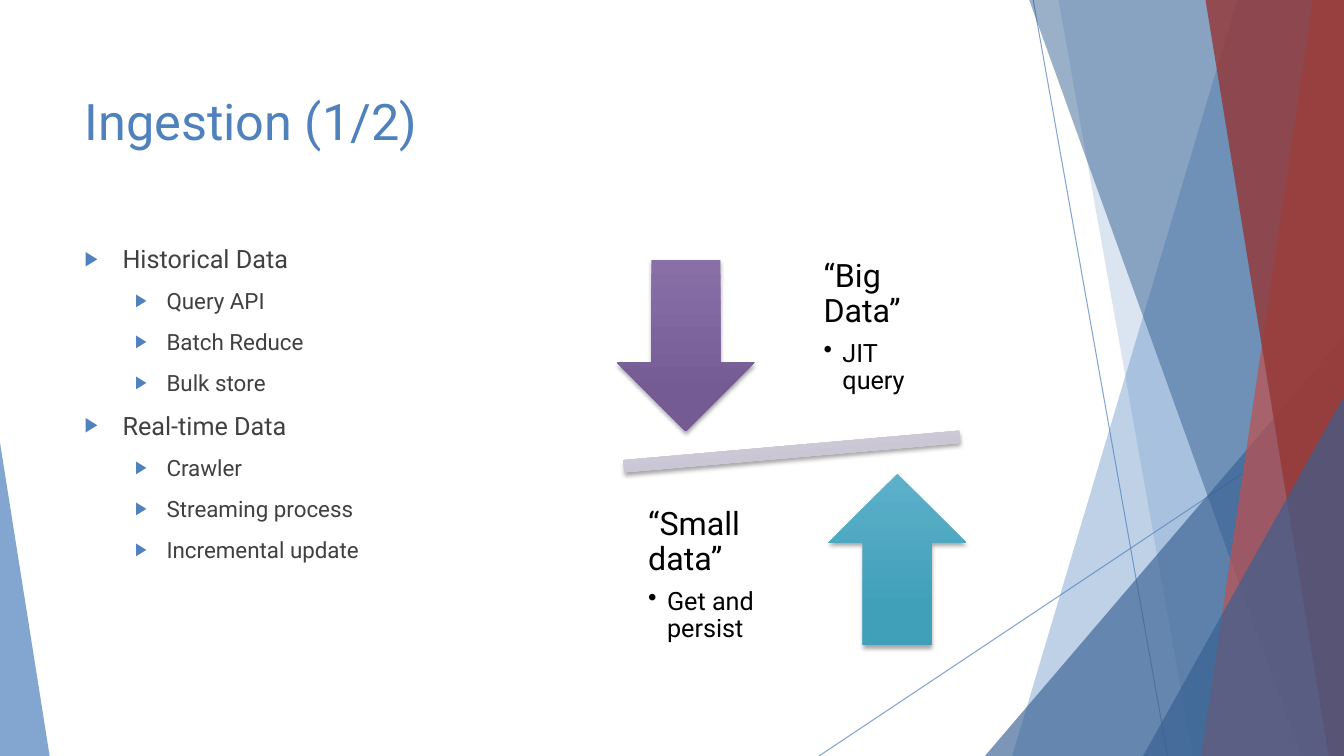
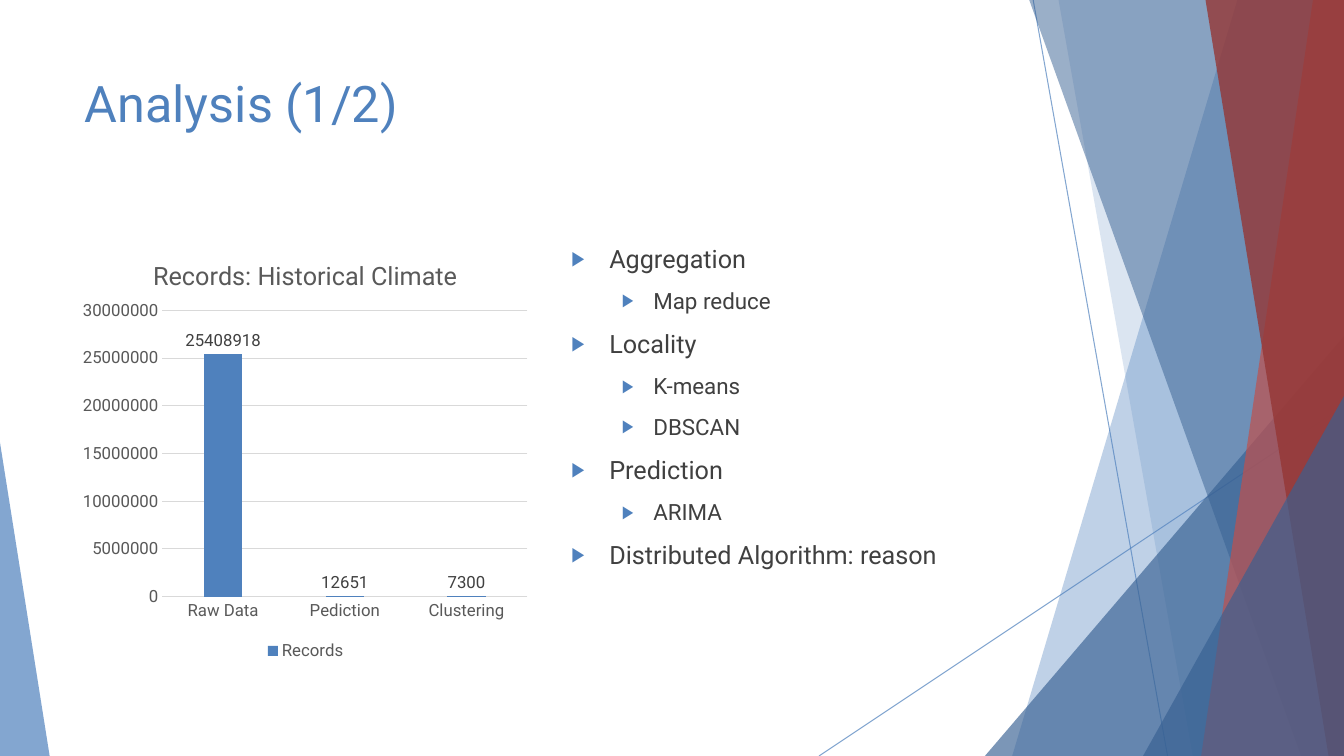
from lxml.etree import SubElement
from pptx import Presentation
from pptx.chart.data import CategoryChartData
from pptx.dml.color import RGBColor
from pptx.enum.chart import XL_CHART_TYPE, XL_LABEL_POSITION, XL_LEGEND_POSITION, XL_TICK_MARK
from pptx.enum.shapes import MSO_CONNECTOR, MSO_SHAPE
from pptx.enum.text import MSO_ANCHOR, MSO_AUTO_SIZE, PP_ALIGN
from pptx.oxml.ns import qn
from pptx.util import Pt

LINE = MSO_CONNECTOR.STRAIGHT
TRIANGLE, MINUS = MSO_SHAPE.ISOSCELES_TRIANGLE, MSO_SHAPE.MATH_MINUS
DOWN, UP = MSO_SHAPE.DOWN_ARROW, MSO_SHAPE.UP_ARROW
TOP, MIDDLE, LEFT = MSO_ANCHOR.TOP, MSO_ANCHOR.MIDDLE, PP_ALIGN.LEFT
NO_TICK, NO_FIT = XL_TICK_MARK.NONE, MSO_AUTO_SIZE.NONE

FONT = "Roboto"
WIDE, HIGH = 960, 540
COLORS = {
    "blue": "4F81BD", "navy": "376092", "red": "C0504D", "wine": "953735",
    "text": "404040", "black": "000000", "gray": "595959", "grid": "D9D9D9",
}

# Back to front: kind, geometry, colour, opacity in percent.
# A band runs from its top x and bottom x to the right edge of the slide.
ART = [
    ("line", (738, 0, 834, HIGH), "blue", 70),
    ("line", (WIDE, 290, 585, HIGH), "blue", 70),
    ("band", (884, 723), "blue", 36),
    ("band", (756, 852), "blue", 20),
    ("peak", (703.5, 240, 256.5, 300, 1), "navy", 66),
    ("band", (735, 929.5), "navy", 50),
    ("band", (938, 858), "red", 70),
    ("band", (861, 949), "wine", 80),
    ("peak", (816.5, 283, 143.5, 257, 1), "navy", 66),
    ("peak", (0, 316, 35.5, 224, 0), "blue", 70),
]

INGESTION = [
    ("Historical Data", ["Query API", "Batch Reduce", "Bulk store"]),
    ("Real-time Data", ["Crawler", "Streaming process", "Incremental update"]),
]
ANALYSIS = [
    ("Aggregation", ["Map reduce"]),
    ("Locality", ["K-means", "DBSCAN"]),
    ("Prediction", ["ARIMA"]),
    ("Distributed Algorithm: reason", []),
]
BALANCE = [
    (MINUS, (401.8, 303.8, 327.6, 37.4), 355, ("DAD5E1", "C5BFCF")),
    (DOWN, (440.6, 185.8, 98.6, 122.4), 0, ("8870A7", "755B94")),
    (UP, (591.8, 338.4, 98.6, 122.4), 0, ("5DB0C9", "40A0BA")),
]
NOTES = [
    ((575.3, 170, 105, 128), "“Big Data”", "JIT query"),
    ((450, 347, 105, 128), "“Small data”", "Get and persist"),
]
RECORDS = {"Raw Data": 25408918, "Pediction": 12651, "Clustering": 7300}

BODY_TOP, BODY_WIDE, BODY_HIGH = 170, 330, 305
LEFT_X, RIGHT_X = 53.3, 401
# Left indent, hanging indent and text size by list level
LEVELS = [(27, 27, 18), (58.5, 22.5, 16)]


def rgb(name):
    return RGBColor.from_string(COLORS.get(name, name))


def points(values):
    return [Pt(v) for v in values]


def apply(target, values):
    for name, value in values.items():
        setattr(target, name, value)


def style(font, size, color):
    apply(font, {"name": FONT, "size": Pt(size), "bold": False})
    font.color.rgb = rgb(color)


def fade(shape, percent):
    """Set the opacity of the shape's only colour."""
    for color in shape.element.spPr.iter(qn("a:srgbClr")):
        SubElement(color, qn("a:alpha"), val=str(percent * 1000))


def indent(para, left, hang, mark, color=None, scale=None):
    """Add a hanging bullet; call after the paragraph spacing is set."""
    props = para._p.get_or_add_pPr()
    props.set("marL", str(Pt(left)))
    props.set("indent", str(-Pt(hang)))
    if color:
        SubElement(SubElement(props, qn("a:buClr")), qn("a:srgbClr"), val=COLORS[color])
    if scale:
        SubElement(props, qn("a:buSzPct"), val=str(scale * 1000))
    SubElement(props, qn("a:buChar"), char=mark)


def write(frame, index, text, size, color):
    para = frame.paragraphs[0] if index == 0 else frame.add_paragraph()
    run = para.add_run()
    run.text = text
    style(run.font, size, color)
    para.alignment = LEFT
    return para


def draw_art(shapes, kind, geo, color, opacity):
    if kind == "line":
        shape = shapes.add_connector(LINE, *points(geo))
        shape.line.color.rgb = rgb(color)
        shape.line.width = Pt(0.75)
        SubElement(shape.element.spPr, qn("a:effectLst"))
    else:
        if kind == "band":
            top, base = geo
            path = shapes.build_freeform(Pt(top), Pt(-0.6))
            corners = [(WIDE, -0.6), (WIDE, HIGH), (base, HIGH)]
            path.add_line_segments([points(c) for c in corners], close=True)
            shape = path.convert_to_shape()
        else:
            shape = shapes.add_shape(TRIANGLE, *points(geo[:4]))
            shape.adjustments[0] = geo[4]
        shape.fill.solid()
        shape.fill.fore_color.rgb = rgb(color)
        shape.line.fill.background()
        shape.shadow.inherit = False
    fade(shape, opacity)


def add_backdrop(deck, slide):
    """Build the shared art once and move it to the slide master."""
    group = slide.shapes.add_group_shape()
    for part in ART:
        draw_art(group.shapes, *part)
    deck.slide_master.element.cSld.spTree.insert(2, group.element)


def place(shape, box):
    apply(shape, dict(zip(("left", "top", "width", "height"), points(box))))
    apply(shape.text_frame, {"word_wrap": True, "auto_size": NO_FIT, "vertical_anchor": TOP})


def fill_slide(slide, title, title_top, groups, body_left):
    place(slide.shapes.title, (LEFT_X, title_top, 676.8, 103.7))
    write(slide.shapes.title.text_frame, 0, title, 36, "blue")
    body = slide.placeholders[1]
    place(body, (body_left, BODY_TOP, BODY_WIDE, BODY_HIGH))
    rows = [row for head, subs in groups for row in [(head, 0)] + [(s, 1) for s in subs]]
    for i, (text, level) in enumerate(rows):
        left, hang, size = LEVELS[level]
        para = write(body.text_frame, i, text, size, "text")
        apply(para, {"level": level, "space_before": Pt(10), "space_after": Pt(0)})
        indent(para, left, hang, "▶", "blue", 80)


def add_balance(shapes):
    for kind, box, turn, shades in BALANCE:
        shape = shapes.add_shape(kind, *points(box))
        shape.rotation = turn
        shape.fill.gradient()
        shape.fill.gradient_angle = 270
        for stop, shade, spot in zip(shape.fill.gradient_stops, shades, (0, 0.78)):
            stop.color.rgb = rgb(shade)
            stop.position = spot
        shape.line.fill.background()
        shape.shadow.inherit = False
        effects = shape.element.spPr.find(qn("a:effectLst"))
        glow = SubElement(effects, qn("a:outerShdw"), blurRad=str(Pt(3)),
                          dist=str(Pt(2)), dir="5400000", rotWithShape="0")
        color = SubElement(glow, qn("a:srgbClr"), val=COLORS["black"])
        SubElement(color, qn("a:alpha"), val="35000")
    for box, head, detail in NOTES:
        frame = shapes.add_textbox(*points(box)).text_frame
        apply(frame, {"word_wrap": True, "vertical_anchor": MIDDLE})
        apply(frame, {f"margin_{side}": Pt(13) for side in ("left", "top", "right", "bottom")})
        for i, (text, size, after) in enumerate([(head, 23, 8), (detail, 18, 3)]):
            para = write(frame, i, text, size, "black")
            apply(para, {"level": i, "line_spacing": 0.9, "space_after": Pt(after)})
        indent(para, 13.5, 13.5, "•")


def set_layout(part, index, values):
    """Fix the place of a chart part, as fractions of the chart."""
    for old in part.findall(qn("c:layout")):
        part.remove(old)
    layout = part.makeelement(qn("c:layout"))
    part.insert(index, layout)
    manual = SubElement(layout, qn("c:manualLayout"))
    for name, value in values.items():
        SubElement(manual, qn(f"c:{name}"), val=str(value))


def add_records(shapes):
    data = CategoryChartData()
    data.categories = list(RECORDS)
    data.add_series("Records", list(RECORDS.values()))
    box = points((LEFT_X, BODY_TOP, BODY_WIDE, BODY_HIGH))
    chart = shapes.add_chart(XL_CHART_TYPE.COLUMN_CLUSTERED, *box, data).chart
    style(chart.font, 12, "gray")

    chart.has_title = True
    write(chart.chart_title.text_frame, 0, "Records: Historical Climate", 18, "gray")
    chart.has_legend = True
    apply(chart.legend, {"position": XL_LEGEND_POSITION.BOTTOM, "include_in_layout": False})
    style(chart.legend.font, 12, "gray")

    for axis in (chart.category_axis, chart.value_axis):
        apply(axis, {"major_tick_mark": NO_TICK, "minor_tick_mark": NO_TICK})
        style(axis.tick_labels.font, 12, "gray")
    apply(chart.value_axis, {"minimum_scale": 0, "maximum_scale": 30000000,
                             "major_unit": 5000000})
    chart.value_axis.format.line.fill.background()
    for line in (chart.category_axis.format.line, chart.value_axis.major_gridlines.format.line):
        line.color.rgb = rgb("grid")
        line.width = Pt(0.75)

    plot = chart.plots[0]
    apply(plot, {"gap_width": 219, "overlap": -27, "vary_by_categories": False})
    bars = plot.series[0]
    bars.format.fill.solid()
    bars.format.fill.fore_color.rgb = rgb("blue")
    labels = bars.data_labels
    apply(labels, {"show_value": True, "position": XL_LABEL_POSITION.OUTSIDE_END})
    style(labels.font, 12, "text")

    root = chart.element.find(qn("c:chart"))
    edges = {"xMode": "edge", "yMode": "edge"}
    set_layout(root.find(qn("c:title")), 1, {**edges, "x": 0.16, "y": 0.04})
    set_layout(root.find(qn("c:plotArea")), 0, {
        "layoutTarget": "inner", **edges, "x": 0.19, "y": 0.17, "w": 0.79, "h": 0.67})


def main():
    deck = Presentation()
    apply(deck, {"slide_width": Pt(WIDE), "slide_height": Pt(HIGH)})
    layout = deck.slide_layouts[1]

    slide = deck.slides.add_slide(layout)
    add_backdrop(deck, slide)
    fill_slide(slide, "Ingestion (1/2)", 60.5, INGESTION, LEFT_X)
    add_balance(slide.shapes)

    slide = deck.slides.add_slide(layout)
    fill_slide(slide, "Analysis (1/2)", 48.2, ANALYSIS, RIGHT_X)
    add_records(slide.shapes)

    deck.save("out.pptx")


if __name__ == "__main__":
    main()
